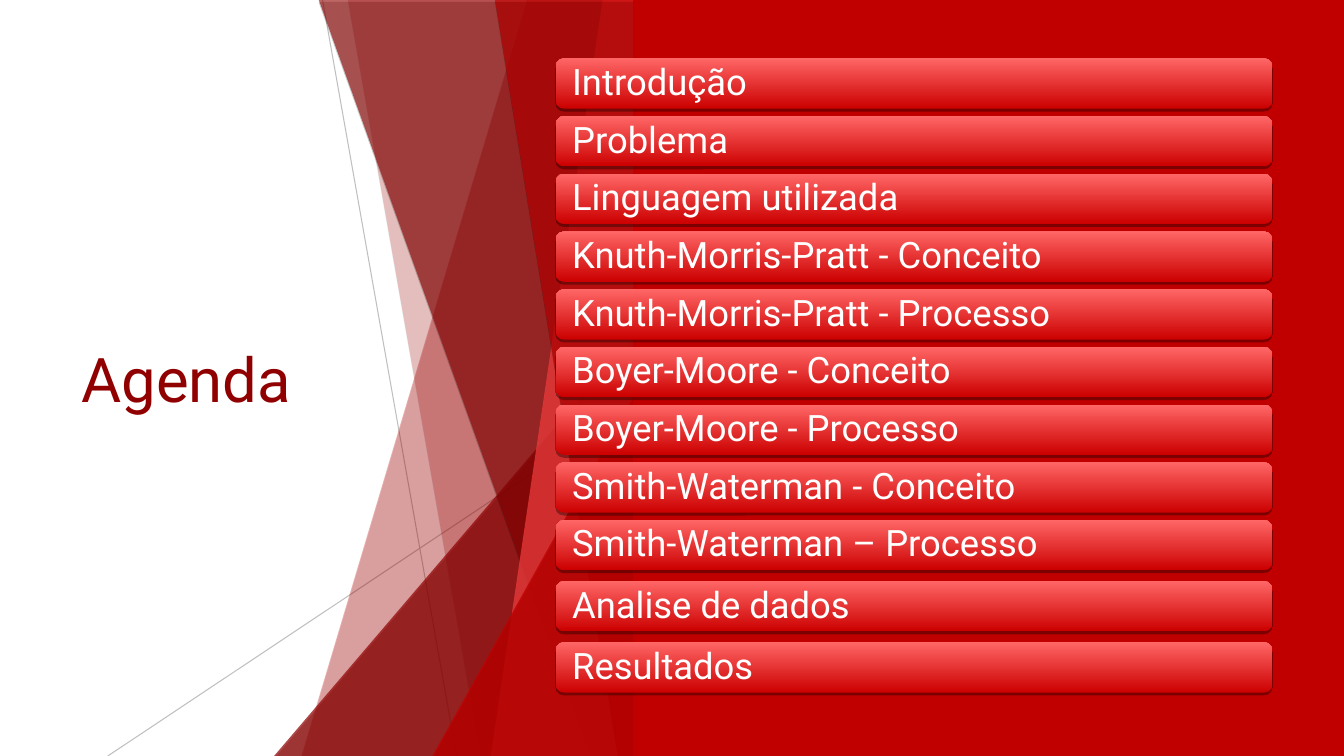
from lxml.etree import SubElement
from pptx import Presentation
from pptx.dml.color import RGBColor
from pptx.enum.shapes import MSO_CONNECTOR as Connector, MSO_SHAPE as Shape
from pptx.enum.text import MSO_ANCHOR as Anchor, PP_ALIGN as Align
from pptx.oxml.ns import qn
from pptx.util import Pt

WIDTH, HEIGHT = 960, 540
PANEL_LEFT = 452.2
COLORS = {
    "white": "FFFFFF", "gray": "BFBFBF", "red": "C00000", "maroon": "900000",
    "coral": "FF4040", "bar_bottom": "CC0000", "bar_top": "FF6666",
}


def rgb(name):
    return RGBColor.from_string(COLORS[name])


def write(shape, text, size, color, font="Roboto", margins=(7.2, 3.6, 7.2, 3.6),
          line_spacing=None, space_after=None):
    """Put one left-aligned, vertically centred paragraph in a shape."""
    frame = shape.text_frame
    frame.word_wrap = True
    frame.vertical_anchor = Anchor.MIDDLE
    (frame.margin_left, frame.margin_top,
     frame.margin_right, frame.margin_bottom) = [Pt(m) for m in margins]
    paragraph = frame.paragraphs[0]
    paragraph.alignment = Align.LEFT
    if line_spacing is not None:
        paragraph.line_spacing = line_spacing
    if space_after is not None:
        paragraph.space_after = Pt(space_after)
    run = paragraph.add_run()
    run.text = text
    run.font.name, run.font.size = font, Pt(size)
    run.font.color.rgb = rgb(color)


class AgendaSlide:
    def __init__(self, slide):
        self.slide = slide
        self.shapes = slide.shapes
        slide.background.fill.solid()
        slide.background.fill.fore_color.rgb = rgb("white")

    def paint(self, shape, color, opacity=100):
        shape.shadow.inherit = False
        shape.line.fill.background()
        shape.fill.solid()
        shape.fill.fore_color.rgb = rgb(color)
        if opacity < 100:
            tint = shape.fill._xPr.find(".//" + qn("a:srgbClr"))
            SubElement(tint, qn("a:alpha"), val=str(opacity * 1000))

    def drop_shadow(self, shape):
        shape.shadow.inherit = False
        effects = shape._element.spPr.find(qn("a:effectLst"))
        shadow = SubElement(effects, qn("a:outerShdw"), blurRad="0",
                            dist=str(Pt(2)), dir="5400000", rotWithShape="0")
        black = SubElement(shadow, qn("a:srgbClr"), val="000000")
        SubElement(black, qn("a:alpha"), val="35000")

    def preset(self, kind, left, top, width, height):
        return self.shapes.add_shape(kind, Pt(left), Pt(top), Pt(width), Pt(height))

    def hairline(self, x1, y1, x2, y2):
        line = self.shapes.add_connector(
            Connector.STRAIGHT, Pt(x1), Pt(y1), Pt(x2), Pt(y2))
        line.line.color.rgb = rgb("gray")
        line.line.width = Pt(0.75)
        SubElement(line._element.spPr, qn("a:effectLst"))

    def shard(self, top_x, bottom_x, color, opacity):
        """Full-height facet between a slanted edge and the panel."""
        top = Pt(-0.6)
        outline = self.shapes.build_freeform(Pt(top_x), top)
        outline.add_line_segments([
            (Pt(PANEL_LEFT), top), (Pt(PANEL_LEFT), Pt(HEIGHT)),
            (Pt(bottom_x), Pt(HEIGHT))], close=True)
        facet = outline.convert_to_shape()
        self.paint(facet, color, opacity)
        self.drop_shadow(facet)

    def corner(self, left, top, color, opacity):
        """Right triangle rising from the slide bottom to the panel edge."""
        wedge = self.preset(Shape.ISOSCELES_TRIANGLE, left, top,
                            PANEL_LEFT - left, HEIGHT - top)
        wedge.adjustments[0] = 1
        self.paint(wedge, color, opacity)
        self.drop_shadow(wedge)

    def panel(self):
        self.paint(self.preset(Shape.RECTANGLE, PANEL_LEFT, 0,
                               WIDTH - PANEL_LEFT, HEIGHT), "red")

    def title(self, text):
        box = self.shapes.add_textbox(Pt(51), Pt(108.7), Pt(279.4), Pt(321.8))
        write(box, text, size=44, color="maroon")

    def topic(self, text, top):
        bar = self.preset(Shape.ROUNDED_RECTANGLE, 396.9, top, 511.9, 36)
        bar.adjustments[0] = 0.167
        bar.line.fill.background()
        bar.fill.gradient()
        bar.fill.gradient_angle = 90
        for stop, color in zip(bar.fill.gradient_stops, ("bar_bottom", "bar_top")):
            stop.color.rgb = rgb(color)
        self.drop_shadow(bar)
        write(bar, text, size=26, color="white", margins=(10, 10, 8, 10),
              line_spacing=0.9, space_after=9.1)


def main():
    deck = Presentation()
    deck.slide_width, deck.slide_height = Pt(WIDTH), Pt(HEIGHT)
    agenda = AgendaSlide(deck.slides.add_slide(deck.slide_layouts[6]))

    # Faceted backdrop, from back to front
    agenda.hairline(230.4, 0, 326.2, HEIGHT)
    agenda.hairline(PANEL_LEFT, 290.2, 77, HEIGHT)
    agenda.shard(376.6, 215.3, "red", 30)
    agenda.shard(248.4, 343.4, "red", 20)
    agenda.corner(195.8, 239.8, "maroon", 72)
    agenda.shard(227.5, 421.9, "maroon", 60)
    agenda.shard(430.6, 350.6, "coral", 70)
    agenda.shard(353.5, 441.4, "red", 65)
    agenda.corner(308.9, 283, "red", 80)

    # Title and panel
    agenda.title("Agenda")
    agenda.panel()

    # Topics: the closing two sit slightly further apart
    topics = [
        "Introdução", "Problema", "Linguagem utilizada",
        "Knuth-Morris-Pratt - Conceito", "Knuth-Morris-Pratt - Processo",
        "Boyer-Moore - Conceito", "Boyer-Moore - Processo",
        "Smith-Waterman - Conceito", "Smith-Waterman – Processo",
        "Analise de dados", "Resultados",
    ]
    first_top, step, closing_extra, last_regular = 41.7, 41.22, 2.4, 8
    for i, topic in enumerate(topics):
        extra = closing_extra * max(0, i - last_regular)
        agenda.topic(topic, first_top + step * i + extra)

    deck.save("out.pptx")


if __name__ == "__main__":
    main()
